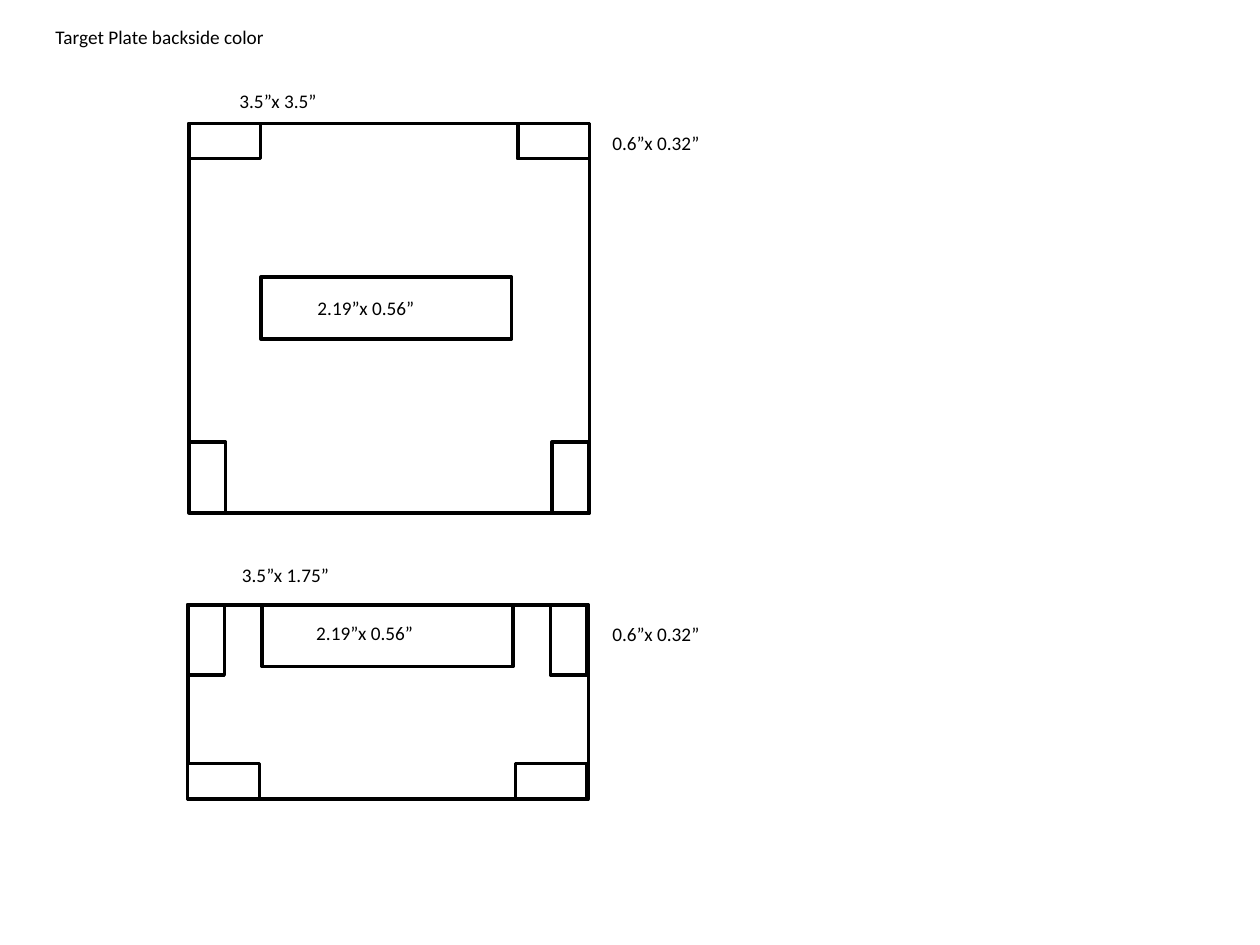
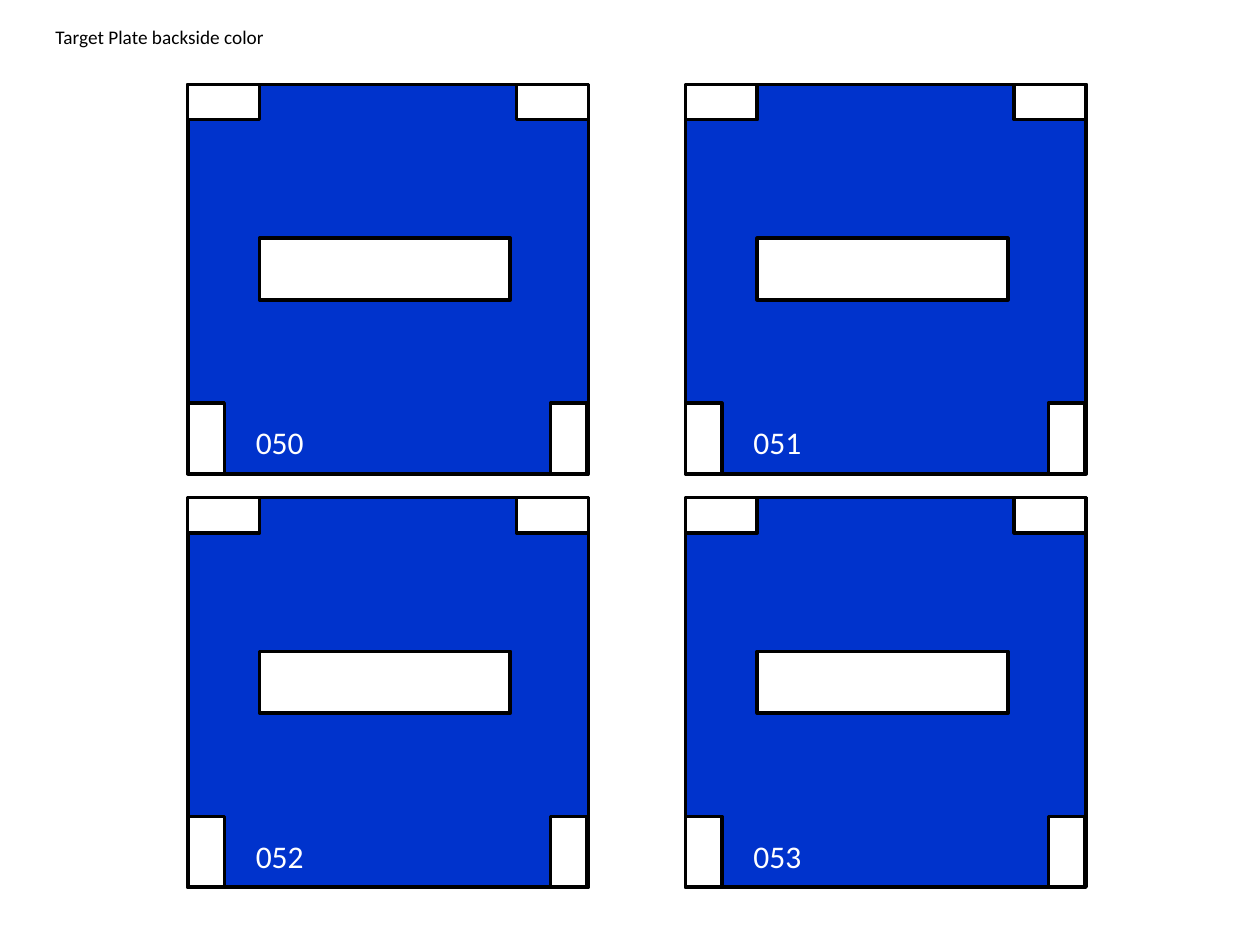
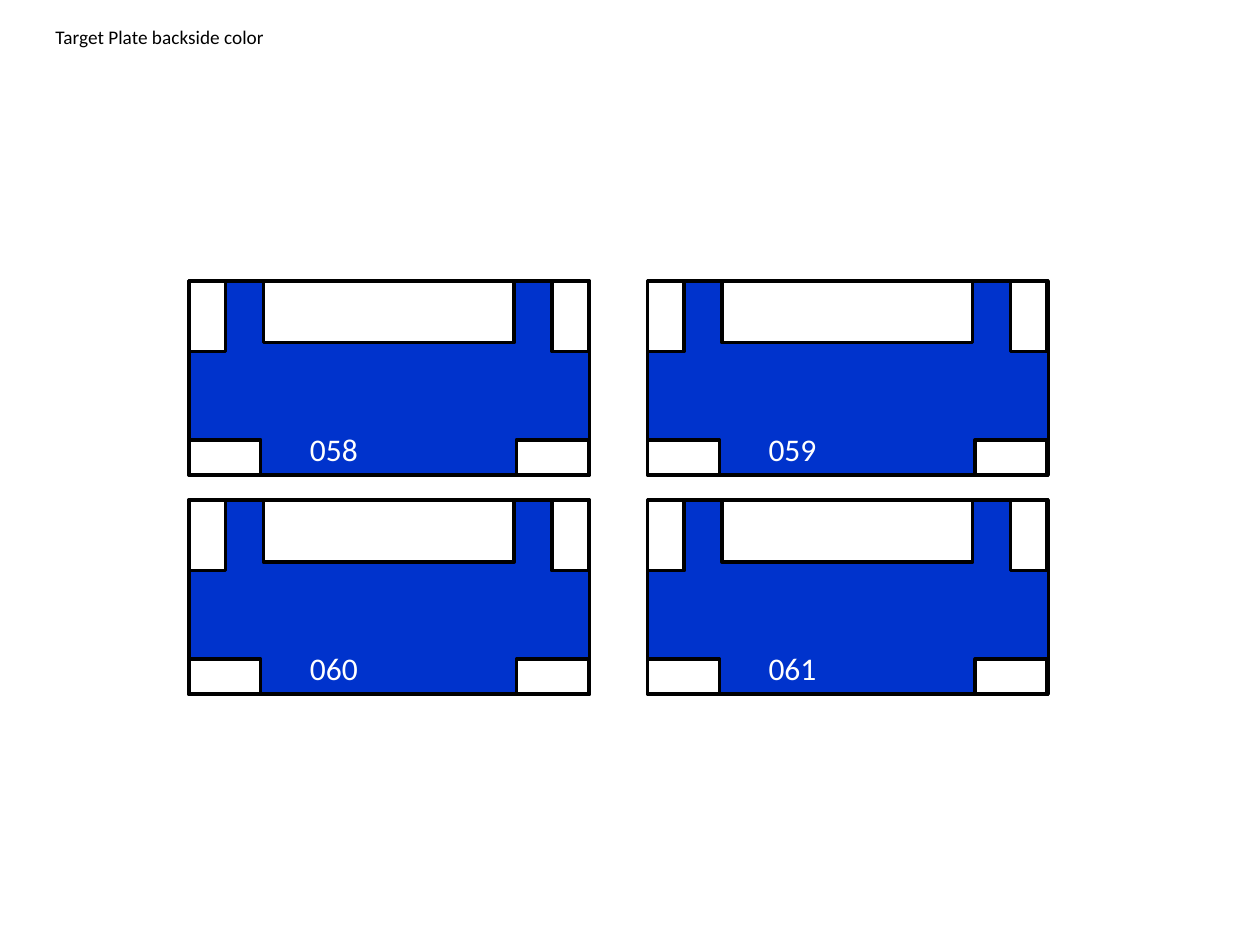
"""Build the target plate backside colour slides."""
from itertools import product

from pptx import Presentation
from pptx.dml.color import RGBColor
from pptx.enum.shapes import MSO_SHAPE as SHAPE
from pptx.enum.text import MSO_AUTO_SIZE as AUTO_SIZE
from pptx.util import Inches, Pt

BLACK = RGBColor(0x00, 0x00, 0x00)
WHITE = RGBColor(0xFF, 0xFF, 0xFF)
BLUE = RGBColor(0x00, 0x33, 0xCC)

WIDE_TAB = (0.57, 0.28)
TALL_TAB = (0.29, 0.56)
WINDOW = (1.99, 0.49)

SQUARE = {
    "size": (3.18, 3.09),
    "cutouts": [
        (0.57, 1.22, *WINDOW),
        (0, 0, *WIDE_TAB),
        (2.61, 0, *WIDE_TAB),
        (2.88, 2.53, *TALL_TAB),
        (0, 2.53, *TALL_TAB),
    ],
    "number": (0.45, 2.65),
}
HALF = {
    "size": (3.18, 1.54),
    "cutouts": [
        (0, 0, *TALL_TAB),
        (2.88, 0, *TALL_TAB),
        (2.6, 1.26, *WIDE_TAB),
        (0, 1.26, *WIDE_TAB),
        (0.59, 0, *WINDOW),
    ],
    "number": (0.87, 1.14),
}


class PlateDeck:
    """Hold the deck style and the current slide."""

    font = "Calibri"
    line_width = Pt(2)

    def __init__(self):
        self.prs = Presentation()
        self.prs.slide_width = Inches(10)
        self.prs.slide_height = Inches(7.5)
        self.s = None

    def slide(self):
        """Start a blank slide with the shared title."""
        self.s = self.prs.slides.add_slide(self.prs.slide_layouts[6])
        self.text("Target Plate backside color", 0.35, 0.16, 2.11)

    def text(self, text, x, y, w, h=0.28, size=11, color=BLACK):
        """Add a one-line label."""
        sp = self.s.shapes.add_textbox(Inches(x), Inches(y), Inches(w), Inches(h))
        tf = sp.text_frame
        tf.word_wrap = True
        tf.auto_size = AUTO_SIZE.SHAPE_TO_FIT_TEXT
        tf.margin_left = tf.margin_right = Inches(0.09)
        tf.margin_top = tf.margin_bottom = Inches(0.04)
        tf.text = text
        r = tf.paragraphs[0].runs[0]
        r.font.name = self.font
        r.font.size = Pt(size)
        r.font.color.rgb = color

    def box(self, x, y, w, h, fill=WHITE):
        """Add a black-edged rectangle, unfilled if fill is None."""
        sp = self.s.shapes.add_shape(
            SHAPE.RECTANGLE, Inches(x), Inches(y), Inches(w), Inches(h))
        sp.shadow.inherit = False
        if fill is None:
            sp.fill.background()
        else:
            sp.fill.solid()
            sp.fill.fore_color.rgb = fill
        sp.line.color.rgb = BLACK
        sp.line.width = self.line_width

    def plate(self, kind, x, y, fill=None):
        """Add a plate with its cutouts."""
        self.box(x, y, *kind["size"], fill)
        for dx, dy, w, h in kind["cutouts"]:
            self.box(x + dx, y + dy, w, h)

    def plate_grid(self, kind, x, y, step_x, step_y, first):
        """Add a two by two grid of numbered blue plates."""
        dx, dy = kind["number"]
        for i, (row, col) in enumerate(product(range(2), repeat=2)):
            left, top = x + col * step_x, y + row * step_y
            self.plate(kind, left, top, BLUE)
            self.text(f"{first + i:03d}", left + dx, top + dy, 0.64, 0.39, 18, WHITE)


def main():
    """Build the three slides and save them."""
    deck = PlateDeck()

    deck.slide()
    deck.plate(SQUARE, 1.5, 0.98)
    deck.plate(HALF, 1.49, 4.8)
    for text, x, y, w in [
        ("3.5”x 3.5”", 1.81, 0.67, 1.26),
        ("0.6”x 0.32”", 4.77, 1, 1.34),
        ("2.19”x 0.56”", 2.43, 2.31, 1.26),
        ("3.5”x 1.75”", 1.83, 4.43, 1.26),
        ("0.6”x 0.32”", 4.77, 4.9, 1.34),
        ("2.19”x 0.56”", 2.42, 4.89, 1.26),
    ]:
        deck.text(text, x, y, w)

    deck.slide()
    deck.plate_grid(SQUARE, 1.49, 0.67, 3.95, 3.28, 50)

    deck.slide()
    deck.plate_grid(HALF, 1.5, 2.23, 3.64, 1.74, 58)

    deck.prs.save("out.pptx")


if __name__ == "__main__":
    main()
